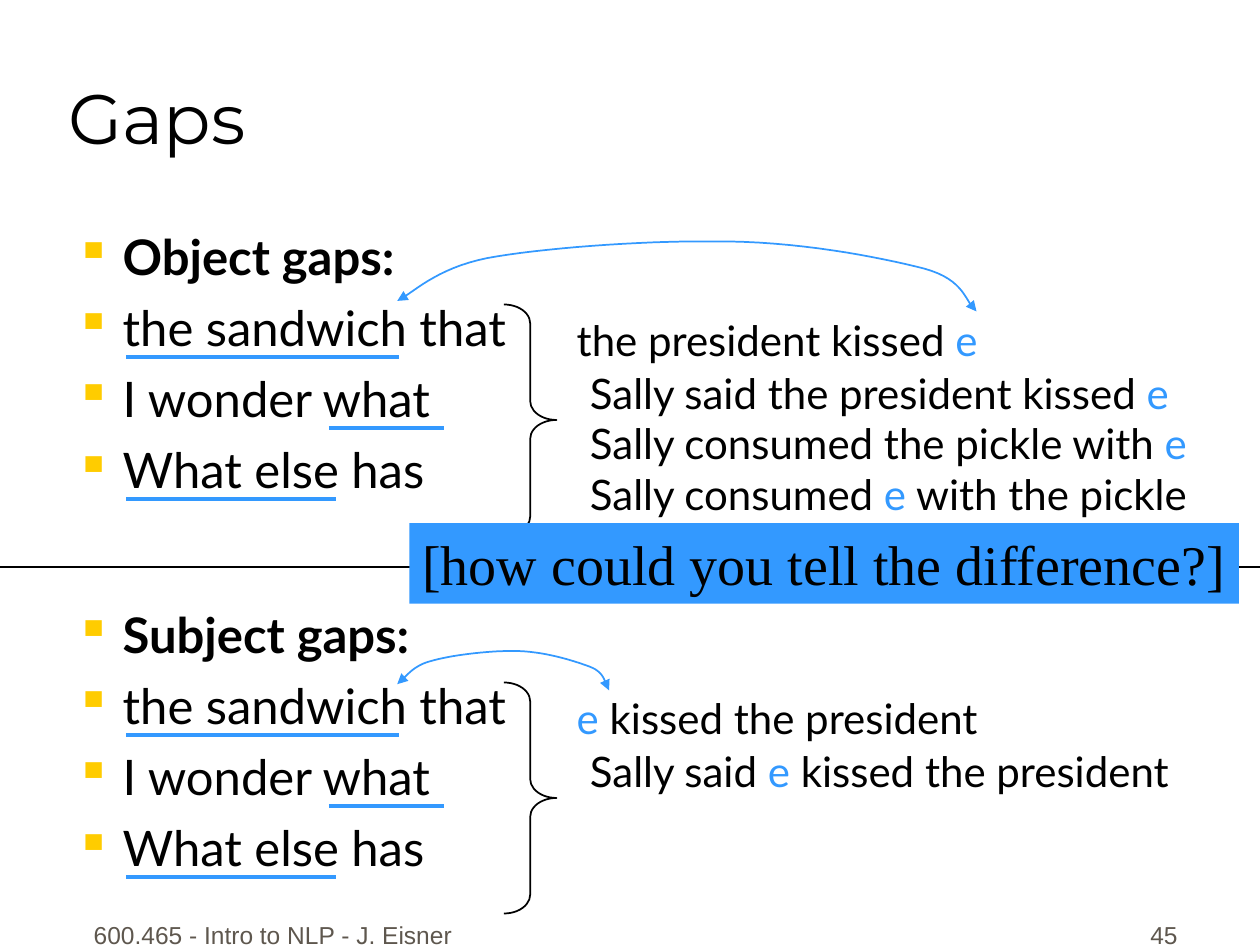
from dataclasses import dataclass

from lxml import etree
from pptx import Presentation
from pptx.dml.color import RGBColor
from pptx.enum.shapes import MSO_CONNECTOR, MSO_SHAPE
from pptx.enum.text import MSO_ANCHOR, PP_ALIGN
from pptx.oxml.ns import qn
from pptx.util import Pt

LEFT, CENTER, RIGHT = PP_ALIGN.LEFT, PP_ALIGN.CENTER, PP_ALIGN.RIGHT
TOP, MIDDLE, BOTTOM = MSO_ANCHOR.TOP, MSO_ANCHOR.MIDDLE, MSO_ANCHOR.BOTTOM
STRAIGHT = MSO_CONNECTOR.STRAIGHT
RECTANGLE, RIGHT_BRACE = MSO_SHAPE.RECTANGLE, MSO_SHAPE.RIGHT_BRACE


@dataclass(frozen=True)
class Theme:
    ink: RGBColor = RGBColor(0, 0, 0)
    accent: RGBColor = RGBColor(0x33, 0x99, 0xFF)
    bullet: str = "FFCC00"
    muted: RGBColor = RGBColor(0x5E, 0x57, 0x4E)
    title_font: str = "Montserrat"
    body_font: str = "Lato"
    footer_font: str = "Arial"
    callout_font: str = "Times New Roman"
    title: int = 40
    callout: int = 32
    body: int = 28
    sentence: int = 24
    footer: int = 14
    thin: float = 1
    thick: float = 2.25


THEME = Theme()
GAP = "{e}"  # stands for the empty element in a sentence


def style(run, font, size, color, bold=False):
    run.font.name, run.font.size, run.font.bold = font, Pt(size), bold
    run.font.color.rgb = color


def add_text(slide, box, lines, font, size, color, align=LEFT, anchor=TOP, wrap=True):
    frame = slide.shapes.add_textbox(*map(Pt, box)).text_frame
    frame.word_wrap, frame.vertical_anchor = wrap, anchor
    frame.text = "\n".join(lines)
    for paragraph in frame.paragraphs:
        paragraph.alignment = align
        for run in paragraph.runs:
            style(run, font, size, color)
    return frame


def add_line(slide, x1, x2, y, color, width):
    line = slide.shapes.add_connector(STRAIGHT, Pt(x1), Pt(y), Pt(x2), Pt(y))
    line.line.color.rgb, line.line.width = color, Pt(width)
    etree.SubElement(line._element.spPr, qn("a:effectLst"))


def add_bullet(paragraph):
    props = paragraph._p.get_or_add_pPr()
    props.set("marL", str(Pt(27)))
    props.set("indent", str(-Pt(27)))
    color = etree.SubElement(props, qn("a:buClr"))
    etree.SubElement(color, qn("a:srgbClr"), val=THEME.bullet)
    etree.SubElement(props, qn("a:buChar"), char="▪")


def add_sentences(slide, box, sentences, wrap=True):
    """Sentences whose gap is set in the accent colour."""
    frame = add_text(slide, box, [""] * len(sentences), THEME.body_font,
                     THEME.sentence, THEME.ink, wrap=wrap)
    for paragraph, sentence in zip(frame.paragraphs, sentences):
        before, _, after = sentence.partition(GAP)
        parts = (before, THEME.ink), ("e", THEME.accent), (after, THEME.ink)
        for words, color in parts:
            if words:
                run = paragraph.add_run()
                run.text = words
                style(run, THEME.body_font, THEME.sentence, color)


def curve_points(controls, steps=16):
    """Sample a chain of cubic curves that share their end points."""
    points = [controls[0]]
    for i in range(0, len(controls) - 1, 3):
        segment = controls[i:i + 4]
        for step in range(1, steps + 1):
            t = step / steps
            weights = (1 - t) ** 3, 3 * t * (1 - t) ** 2, 3 * t * t * (1 - t), t ** 3
            points.append(tuple(sum(w * p[axis] for w, p in zip(weights, segment))
                                for axis in (0, 1)))
    return points


def add_arc(slide, left, top, controls):
    points = [(Pt(left + x), Pt(top + y)) for x, y in curve_points(controls)]
    builder = slide.shapes.build_freeform(*points[0])
    builder.add_line_segments(points[1:], close=False)
    arc = builder.convert_to_shape()
    arc.shadow.inherit = False
    arc.fill.background()
    arc.line.color.rgb, arc.line.width = THEME.accent, Pt(THEME.thin)
    for end in ("a:headEnd", "a:tailEnd"):
        etree.SubElement(arc.line._get_or_add_ln(), qn(end), type="triangle")


def add_gap_section(slide, box, heading, first, others, arc):
    left, top, width, height = box

    # Bulleted openings
    openings = [heading, "the sandwich that", "I wonder what", "What else has"]
    frame = add_text(slide, box, openings, THEME.body_font, THEME.body, THEME.ink)
    for i, paragraph in enumerate(frame.paragraphs):
        add_bullet(paragraph)
        if i:
            paragraph.space_before = Pt(7)
    frame.paragraphs[0].runs[0].font.bold = True

    # Brace joining the openings to their continuations
    brace = slide.shapes.add_shape(RIGHT_BRACE, Pt(left + 252), Pt(top + 48), Pt(30), Pt(132))
    brace.adjustments[0] = 0.36
    brace.shadow.inherit = False
    brace.fill.background()
    brace.line.color.rgb, brace.line.width = THEME.ink, Pt(THEME.thin)

    # Continuations with gaps
    add_sentences(slide, (left + 286.5, top + 50, 261, 36), [first], wrap=False)
    add_sentences(slide, (left + 294, top + 80.5, 372, 7.2 + 28.8 * len(others)), others)

    # Underlined fillers and the arc from filler to gap
    for row, (start, end) in enumerate([(36, 192), (152, 218), (36, 156)]):
        add_line(slide, left + start, left + end, top + 78 + 40.6 * row,
                 THEME.accent, THEME.thick)
    add_arc(slide, left, top, arc)


def add_title(slide, box):
    add_text(slide, box, ["Gaps"], THEME.title_font, THEME.title, THEME.ink, anchor=BOTTOM)


def add_footer(slide, box):
    left, top, width, height = box
    parts = [(0, 228, "600.465 - Intro to NLP - J. Eisner", CENTER),
             (width - 150, 150, "45", RIGHT)]
    for offset, part_width, words, align in parts:
        add_text(slide, (left + offset, top, part_width, height), [words],
                 THEME.footer_font, THEME.footer, THEME.muted, align, BOTTOM)


def add_callout(slide, box):
    callout = slide.shapes.add_shape(RECTANGLE, *map(Pt, box))
    callout.shadow.inherit = False
    callout.fill.solid()
    callout.fill.fore_color.rgb = THEME.accent
    callout.line.fill.background()
    frame = callout.text_frame
    frame.word_wrap, frame.vertical_anchor = False, MIDDLE
    frame.text = "[how could you tell the difference?]"
    frame.paragraphs[0].alignment = CENTER
    style(frame.paragraphs[0].runs[0], THEME.callout_font, THEME.callout, THEME.ink)


# Curve controls, relative to the section's corner
OBJECT_ARC = [(191, 46), (199.5, 42), (212.5, 27.5), (242.5, 21.5), (272, 16),
              (330.5, 11.5), (371.5, 12), (419, 11.5), (466.5, 21), (492, 27.5),
              (516, 34), (515.5, 47), (522, 52)]
SUBJECT_ARC = [(191, 49), (194.5, 47), (198.5, 39), (209.5, 36), (221, 32.5),
               (242, 30), (257, 30), (274.5, 30), (291.5, 35.5), (301, 39),
               (310.5, 42.5), (309.5, 49.5), (312, 52.5)]


def main():
    deck = Presentation()
    deck.slide_width, deck.slide_height = Pt(720), Pt(540)
    slide = deck.slides.add_slide(deck.slide_layouts[6])

    add_footer(slide, (42, 510, 638, 36))
    add_title(slide, (32, 4, 612, 90))
    add_gap_section(slide, (36, 126, 666, 168), "Object gaps:",
                    "the president kissed {e}",
                    ["Sally said the president kissed {e}",
                     "Sally consumed the pickle with {e}",
                     "Sally consumed {e} with the pickle"], OBJECT_ARC)
    add_gap_section(slide, (36, 342, 644, 168), "Subject gaps:",
                    "{e} kissed the president",
                    ["Sally said {e} kissed the president"], SUBJECT_ARC)
    add_line(slide, 0, 720, 324, THEME.ink, THEME.thin)
    add_callout(slide, (234, 299, 474, 46))
    deck.save("out.pptx")


if __name__ == "__main__":
    main()
